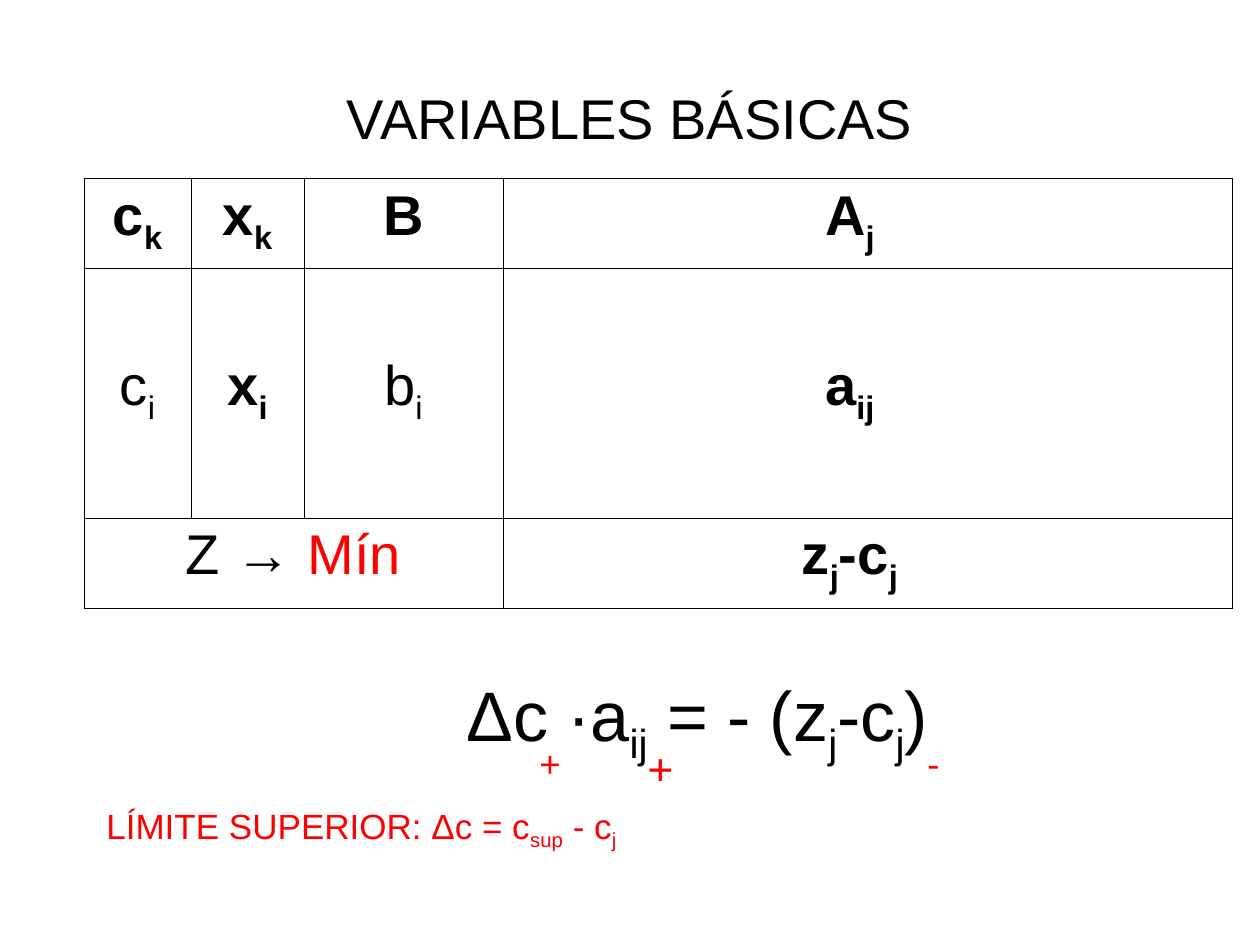
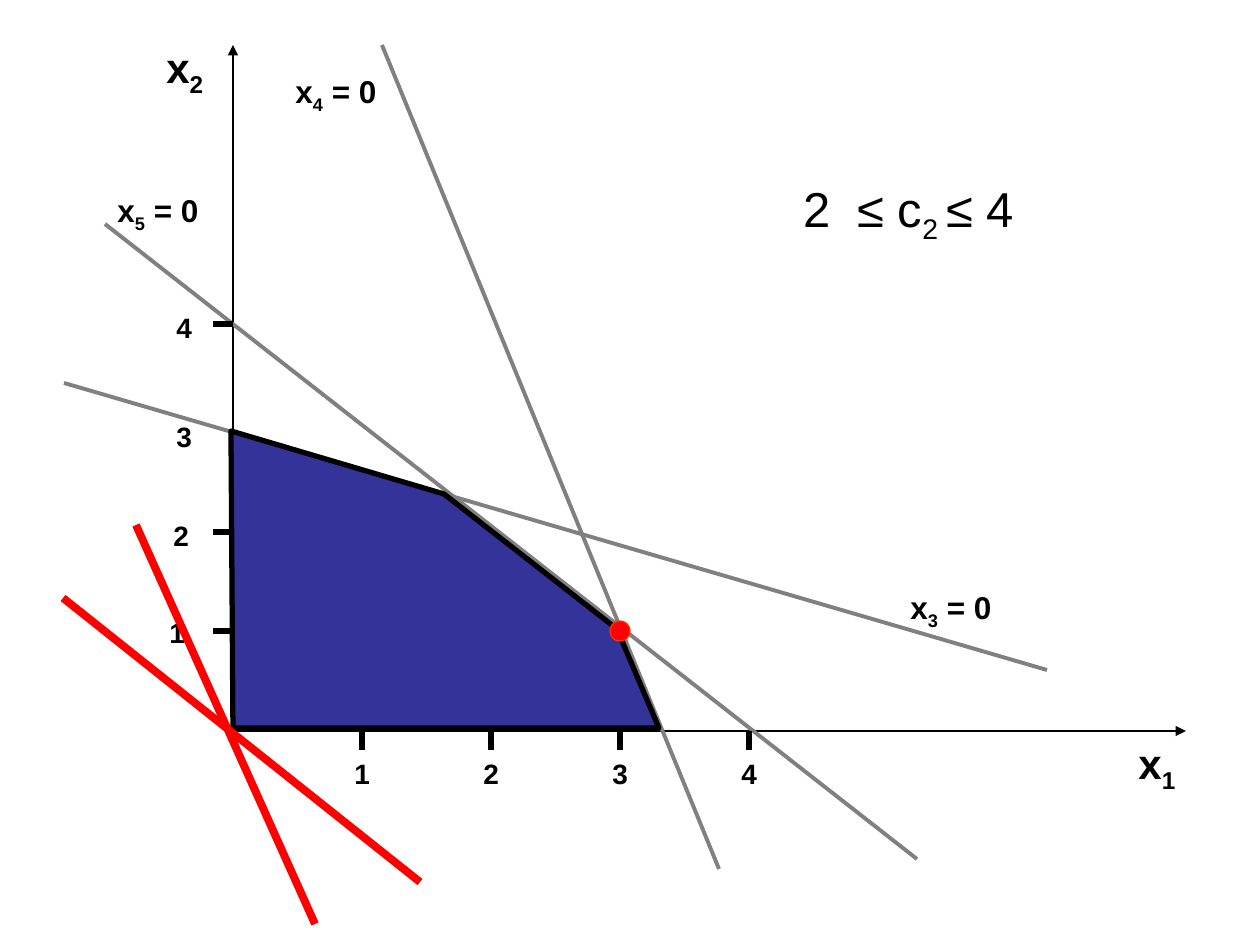
from pptx import Presentation
from pptx.dml.color import RGBColor
from pptx.enum.shapes import MSO_CONNECTOR, MSO_SHAPE
from pptx.enum.text import MSO_ANCHOR, MSO_AUTO_SIZE, PP_ALIGN
from pptx.oxml.ns import qn
from pptx.util import Emu, Pt
from lxml.etree import SubElement

BLACK = RGBColor(0, 0, 0)
WHITE = RGBColor(255, 255, 255)
RED = RGBColor(255, 0, 0)
ORANGE = RGBColor(255, 51, 0)
GRAY = RGBColor(128, 128, 128)
NAVY = RGBColor(51, 51, 153)
FONT = "Arial"
UNIT = 914400 / 126

# In all texts, _..._ marks a subscript and |...| a red part.
TITLE = "VARIABLES BÁSICAS"
COLS = [107, 113, 199, 146, 134, 134, 154, 162]
ROWS = [90, 80, 90, 80, 90]
COL_RULES = {0, 1, 2, 3, 8}
ROW_RULES = {0, 1, 4, 5}
CELLS = [  # row, column, text, bold
    (0, 0, "c_k_", True), (0, 1, "x_k_", True),
    (0, 2, "B", True), (0, 5, "A_j_", True),
    (2, 0, "c_i_", False), (2, 1, "x_i_", True),
    (2, 2, "b_i_", False), (2, 5, "a_ij_", True),
    (4, 0, "Z → |Mín|", False), (4, 5, "z_j_-c_j_", True),
]
FORMULA = "Δc ·a_ij_ = - (z_j_-c_j_)"
LIMIT = "|LÍMITE SUPERIOR: Δc = c_sup_ - c_j_|"
SIGNS = [  # text, size, box
    ("|_+_|", 36, (527, 693, 47, 100)),
    ("|_+_|", 44, (635, 683, 50, 118)),
    ("|_-_|", 36, (915, 693, 37, 100)),
]

RANGE = "2  ≤ c_2 _≤ 4"
ORIGIN = (233, 731)
AXES = [(233, 45), (1186, 731)]
STEP = 129
X_TICKS = [1, 2, 3, 4]
Y_TICKS = [631, 532, 324]
Y_LABELS = [("1", 157, 609), ("2", 161, 512), ("3", 164, 413), ("4", 164, 304)]
NAMES = [("x_2_", 154, 35), ("x_1_", 1126, 731)]
BOUNDS = [(105, 224, 917, 859), (64, 383, 1047, 670), (719, 869, 382, 45)]
BOUND_NAMES = [("x_3_ = 0", 898, 582), ("x_4_ = 0", 283, 66), ("x_5_ = 0", 105, 185)]
REGION = [(233, 728), (231, 431), (444, 494), (617, 629), (659, 728)]
GOALS = [(63, 598, 420, 882), (136, 525, 315, 924)]


def px(num):
    return Emu(round(num * UNIT))


def write(frame, text, size=32, bold=False, align=PP_ALIGN.LEFT):
    """Fill a frame with one paragraph of marked text."""
    para = frame.paragraphs[0]
    para.alignment = align
    for i, part in enumerate(text.split("|")):
        for j, piece in enumerate(part.split("_")):
            if not piece:
                continue
            run = para.add_run()
            run.text = piece
            run.font.name = FONT
            run.font.size = Pt(size)
            run.font.bold = bold
            run.font.color.rgb = RED if i % 2 else BLACK
            if j % 2:
                run.font._element.set("baseline", "-25000")


def label(slide, text, box, wrap=False, anchor=MSO_ANCHOR.TOP, **style):
    frame = slide.shapes.add_textbox(*map(px, box)).text_frame
    frame.word_wrap = wrap
    frame.vertical_anchor = anchor
    if not wrap:
        frame.auto_size = MSO_AUTO_SIZE.SHAPE_TO_FIT_TEXT
    write(frame, text, **style)


def title(slide, text, box, size):
    label(slide, text, box, wrap=True, anchor=MSO_ANCHOR.MIDDLE,
          size=size, align=PP_ALIGN.CENTER)


def line(slide, ends, color, width, arrow=False):
    link = slide.shapes.add_connector(MSO_CONNECTOR.STRAIGHT, *map(px, ends))
    link.line.color.rgb = color
    link.line.width = Pt(width)
    if arrow:
        SubElement(link.line._get_or_add_ln(), qn("a:tailEnd"), type="triangle")
    SubElement(link._element.spPr, qn("a:effectLst"))


def paint(shape, fill, edge, width):
    shape.shadow.inherit = False
    shape.fill.solid()
    shape.fill.fore_color.rgb = fill
    shape.line.color.rgb = edge
    shape.line.width = Pt(width)


def rule(cell, row, col):
    """Draw only the cell edges that lie on a ruled grid line."""
    props = cell._tc.get_or_add_tcPr()
    edges = [("a:lnL", col in COL_RULES), ("a:lnR", col + 1 in COL_RULES),
             ("a:lnT", row in ROW_RULES), ("a:lnB", row + 1 in ROW_RULES)]
    for tag, shown in edges:
        edge = SubElement(props, qn(tag), w=str(Pt(0.45)))
        if shown:
            fill = SubElement(edge, qn("a:solidFill"))
            SubElement(fill, qn("a:srgbClr"), val=str(BLACK))
        else:
            SubElement(edge, qn("a:noFill"))


def grid(slide):
    table = slide.shapes.add_table(
        len(ROWS), len(COLS), px(84), px(178), px(sum(COLS)), px(sum(ROWS))).table
    table.first_row = table.horz_banding = False
    for col, width in zip(table.columns, COLS):
        col.width = px(width)
    for row, height in zip(table.rows, ROWS):
        row.height = px(height)
    for r in range(len(ROWS)):
        for c in range(len(COLS)):
            cell = table.cell(r, c)
            rule(cell, r, c)
            cell.fill.solid()
            cell.fill.fore_color.rgb = WHITE
    table.cell(4, 0).merge(table.cell(4, 2))
    for r, c, text, bold in CELLS:
        write(table.cell(r, c).text_frame, text, bold=bold, align=PP_ALIGN.CENTER)


def basics(slide):
    grid(slide)
    title(slide, TITLE, (63, 38, 1134, 158), 32)
    label(slide, FORMULA, (454, 665, 507, 108), size=40)
    label(slide, LIMIT, (94, 798, 557, 60), wrap=True, size=20)
    for text, size, box in SIGNS:
        label(slide, text, box, size=size)


def graph(slide):
    left, base = ORIGIN
    for end in AXES:
        line(slide, ORIGIN + end, BLACK, 1.5, arrow=True)
    for text, x, y in NAMES:
        label(slide, text, (x, y, 79, 70), wrap=True, size=24, bold=True)
    for text, x, y in Y_LABELS:
        label(slide, text, (x, y, 40, 47), size=16, bold=True)
    for ends in BOUNDS:
        line(slide, ends, GRAY, 2.25)

    pen = slide.shapes.build_freeform(*REGION[0], scale=UNIT)
    pen.add_line_segments(REGION[1:], close=True)
    paint(pen.convert_to_shape(), NAVY, BLACK, 3)

    for text, x, y in BOUND_NAMES:
        label(slide, text, (x, y, 106, 55), size=18, bold=True)
    for num in X_TICKS:
        x = left + STEP * num
        line(slide, (x, base + 19, x, base), BLACK, 3)
        label(slide, str(num), (x - 20, base + 19, 40, 47), size=16, bold=True)
    for y in Y_TICKS:
        line(slide, (left - 20, y, left, y), BLACK, 3)

    dot = slide.shapes.add_shape(MSO_SHAPE.OVAL, *map(px, (610, 621, 20, 20)))
    paint(dot, RED, ORANGE, 0.75)
    title(slide, RANGE, (630, 94, 557, 236), 28)
    for ends in GOALS:
        line(slide, ends, RED, 4.5)


def main():
    deck = Presentation()
    deck.slide_width, deck.slide_height = px(1260), px(945)
    for build in (basics, graph):
        build(deck.slides.add_slide(deck.slide_layouts[6]))
    deck.save("out.pptx")


if __name__ == "__main__":
    main()
